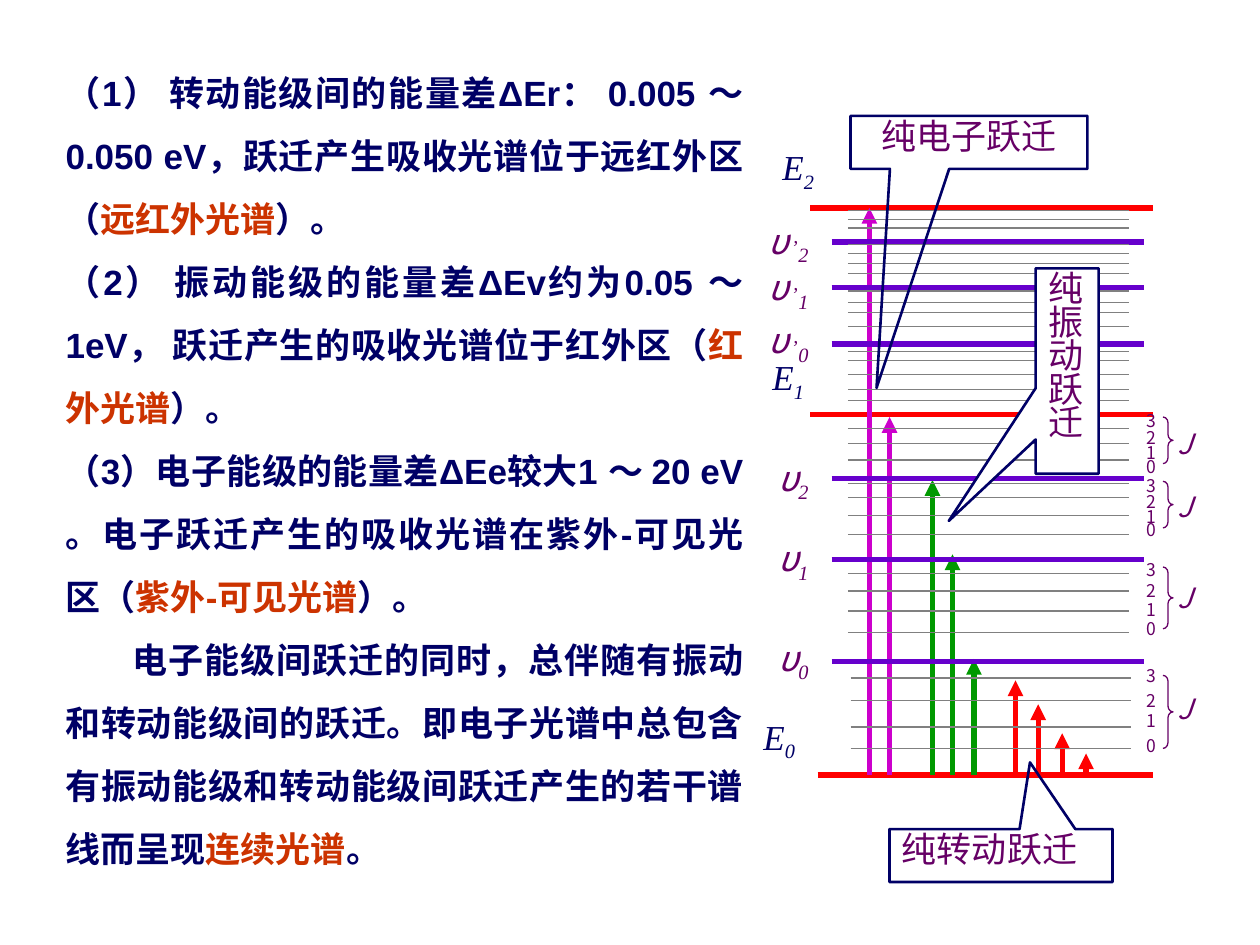
from lxml import etree
from pptx import Presentation
from pptx.dml.color import RGBColor
from pptx.enum.shapes import MSO_CONNECTOR, MSO_SHAPE
from pptx.enum.text import MSO_ANCHOR, MSO_AUTO_SIZE, PP_ALIGN
from pptx.oxml.ns import qn
from pptx.util import Inches, Pt

STRAIGHT = MSO_CONNECTOR.STRAIGHT
CALLOUT, BRACE = MSO_SHAPE.RECTANGULAR_CALLOUT, MSO_SHAPE.RIGHT_BRACE
TOP, MIDDLE = MSO_ANCHOR.TOP, MSO_ANCHOR.MIDDLE
LEFT, CENTER, JUSTIFY = PP_ALIGN.LEFT, PP_ALIGN.CENTER, PP_ALIGN.JUSTIFY
GROW = MSO_AUTO_SIZE.SHAPE_TO_FIT_TEXT
NAVY, PURPLE, RUST, RED = "000066", "660066", "CC3300", "FF0000"
VIOLET, MAGENTA, GREEN, GRAY = "6600CC", "CC00CC", "009900", "808080"
SANS, SERIF, CJK = "Arial", "Times New Roman", "Noto Sans CJK SC"

presentation = Presentation()
presentation.slide_width, presentation.slide_height = Inches(10), Inches(7.5)
column, row = presentation.slide_width / 100, presentation.slide_height / 75
slide = presentation.slides.add_slide(presentation.slide_layouts[1])
title = slide.shapes.title
title._element.getparent().remove(title._element)


def add_run(paragraph, text, color, baseline=0, **format_values):
    run = paragraph.add_run()
    run.text = text
    run.font.color.rgb = RGBColor.from_string(color)
    for name, value in format_values.items():
        setattr(run.font, name, value)
    if baseline:
        run._r.get_or_add_rPr().set("baseline", str(baseline * 1000))


def add_line(left, top, right, bottom, color, width=3, arrow=False):
    line = slide.shapes.add_connector(
        STRAIGHT, round(left * column), round(top * row), round(right * column), round(bottom * row)
    )
    line.line.color.rgb = RGBColor.from_string(color)
    line.line.width = Pt(width)
    properties = line._element.spPr
    if arrow:
        etree.SubElement(properties.find(qn("a:ln")), qn("a:tailEnd"), type="triangle")
    etree.SubElement(properties, qn("a:effectLst"))


body_paragraphs = [
    (0, "（1） 转动能级间的能量差ΔΕr： 0.005 ～ 0.050 eV，跃迁产生吸收光谱位于远红外区（", "远红外光谱", "）。"),
    (0, "（2） 振动能级的能量差ΔΕv约为0.05 ～ 1eV， 跃迁产生的吸收光谱位于红外区（", "红外光谱", "）。"),
    (0, "（3）电子能级的能量差ΔΕe较大1 ～ 20 eV 。电子跃迁产生的吸收光谱在紫外-可见光区（", "紫外-可见光谱", "）。"),
    (5.3, "电子能级间跃迁的同时，总伴随有振动和转动能级间的跃迁。"
          "即电子光谱中总包含有振动能级和转动能级间跃迁产生的若干谱线而呈现", "连续光谱", "。"),
]
body = slide.placeholders[1]
body.left, body.top = round(4.2 * column), round(3.5 * row)
body.width, body.height = round(55.8 * column), round(66 * row)
frame = body.text_frame
for name, value in {"word_wrap": True, "auto_size": GROW, "vertical_anchor": TOP}.items():
    setattr(frame, name, value)
for index, (indent, *parts) in enumerate(body_paragraphs):
    paragraph = frame.add_paragraph() if index else frame.paragraphs[0]
    for name, value in {"alignment": JUSTIFY, "line_spacing": 1.5, "space_before": Pt(0)}.items():
        setattr(paragraph, name, value)
    properties = paragraph._p.get_or_add_pPr()
    properties.set("marL", "0")
    properties.set("indent", str(round(indent * column)))
    etree.SubElement(properties, qn("a:buNone"))
    for part, color in zip(parts, (NAVY, RUST, NAVY)):
        add_run(paragraph, part, color, size=Pt(20), name=SANS, bold=True)

for left, top in [(64.3, 16.5), (64.9, 61.5), (64.3, 32.9)]:
    add_line(left, top, 91.5, top, RED)

arrows = {
    MAGENTA: [(69, 16.5), (70.6, 33.1)],
    GREEN: [(75.6, 44), (74, 38.1), (77.3, 52.3)],
    RED: [(80.6, 54), (82.4, 55.9), (84.3, 58.2), (86.2, 59.8)],
}
for color, tips in arrows.items():
    for left, top in tips:
        add_line(left, 61.5, left, top, color, arrow=True)

for top in (22.8, 27.3, 38, 44.4, 52.5, 19.2):
    add_line(66, top, 90.8, top, VIOLET)

rotation_levels = [
    (67.3, (16.7, 17.4, 18.1, 19.4, 20.1, 20.9, 21.7, 23.1, 24, 24.8, 25.9)),
    (67.3, (27.9, 28.6, 29.7, 30.9, 31.8, 34, 35.2, 36.5)),
    (67.3, (38.4, 39.5, 40.9, 42.4, 45.5, 46.9, 48.5, 50.2)),
    (67.5, (53.8, 55.6, 57.7, 59.4)),
]
for left, tops in rotation_levels:
    for top in tops:
        add_line(left, top, left + 22.3, top, GRAY, 0.75)

energy = {"size": Pt(20), "name": SERIF, "italic": True}
vibration = {"size": Pt(20), "name": CJK, "italic": True}
quantum = {"size": Pt(16), "name": CJK, "italic": True}
digit = {"size": Pt(10), "name": CJK}
labels = []
for left, top, level in [(62.1, 11.8, "2"), (61.3, 28.5, "1"), (60.6, 57, "0")]:
    labels.append((left, top, 6.7, 3.3, 1, NAVY, [("E", 0, energy), (level, -25, energy)]))
for top, level in [(50, "0"), (42.1, "1"), (35.7, "2")]:
    labels.append((60.8, top, 6.7, 4.3, 1, PURPLE, [("υ", 0, vibration), (level, -25, energy)]))
for top, level in [(24.8, "0"), (20.6, "1"), (16.9, "2")]:
    runs = [("υ", 0, vibration), (" ,", 30, energy), (level, -25, energy)]
    labels.append((60, top, 6.7, 4.3, 1, PURPLE, runs))

rotation_bands = [
    (53.6, 5.8, 55.1, (52.6, 54.6, 56.2, 58.2)),
    (45, 4.9, 46.3, (44.2, 45.9, 47.4, 48.9)),
    (38.2, 3.7, 39.1, (37.5, 38.8, 40, 41)),
    (33.1, 3.7, 34.1, (32.4, 33.7, 34.9, 36)),
]
for brace_top, brace_height, quantum_top, digit_tops in rotation_bands:
    brace = slide.shapes.add_shape(
        BRACE, round(92.3 * column), round(brace_top * row), round(0.8 * column), round(brace_height * row)
    )
    brace.shadow.inherit = False
    brace.fill.background()
    brace.line.color.rgb = RGBColor.from_string(PURPLE)
    brace.line.width = Pt(0.75)
    brace.adjustments[0] = 0.58
    labels.append((92.5, quantum_top, 3.3, 2.9, 0.7, PURPLE, [("J", 0, quantum)]))
    for top, level in zip(digit_tops, "3210"):
        labels.append((90, top, 2.7, 2.3, 0.8, PURPLE, [(level, 0, digit)]))

for left, top, width, height, spacing, color, runs in labels:
    box = slide.shapes.add_textbox(
        round(left * column), round(top * row), round(width * column), round(height * row)
    )
    frame = box.text_frame
    frame.word_wrap, frame.auto_size = True, GROW
    if color == NAVY:
        frame.vertical_anchor = MIDDLE
        for side in ("left", "top", "right", "bottom"):
            setattr(frame, f"margin_{side}", 0)
    paragraph = frame.paragraphs[0]
    paragraph.line_spacing = spacing
    for text, baseline, format_values in runs:
        add_run(paragraph, text, color, baseline, **format_values)

callouts = [
    ("纯电子跃迁", 67.5, 9.2, 18.8, 4.2, (-0.39, 4.64), None, CENTER, SANS),
    ("纯振动跃迁", 82.2, 21.3, 5, 16.3, (-1.88, 0.73), "FFFFFF", LEFT, SERIF),
    ("纯转动跃迁", 70.6, 65.8, 17.7, 4.2, (0.13, -1.76), None, LEFT, SERIF),
]
for text, left, top, width, height, pointer, fill, alignment, font in callouts:
    callout = slide.shapes.add_shape(
        CALLOUT, round(left * column), round(top * row), round(width * column), round(height * row)
    )
    callout.shadow.inherit = False
    callout.adjustments[0], callout.adjustments[1] = pointer
    if fill:
        callout.fill.solid()
        callout.fill.fore_color.rgb = RGBColor.from_string(fill)
    else:
        callout.fill.background()
    callout.line.color.rgb = RGBColor.from_string(NAVY)
    callout.line.width = Pt(1.5)
    callout.text_frame.vertical_anchor = TOP
    paragraph = callout.text_frame.paragraphs[0]
    paragraph.alignment, paragraph.line_spacing = alignment, 0.8
    add_run(paragraph, text, PURPLE, size=Pt(20), name=font)

presentation.save("out.pptx")
